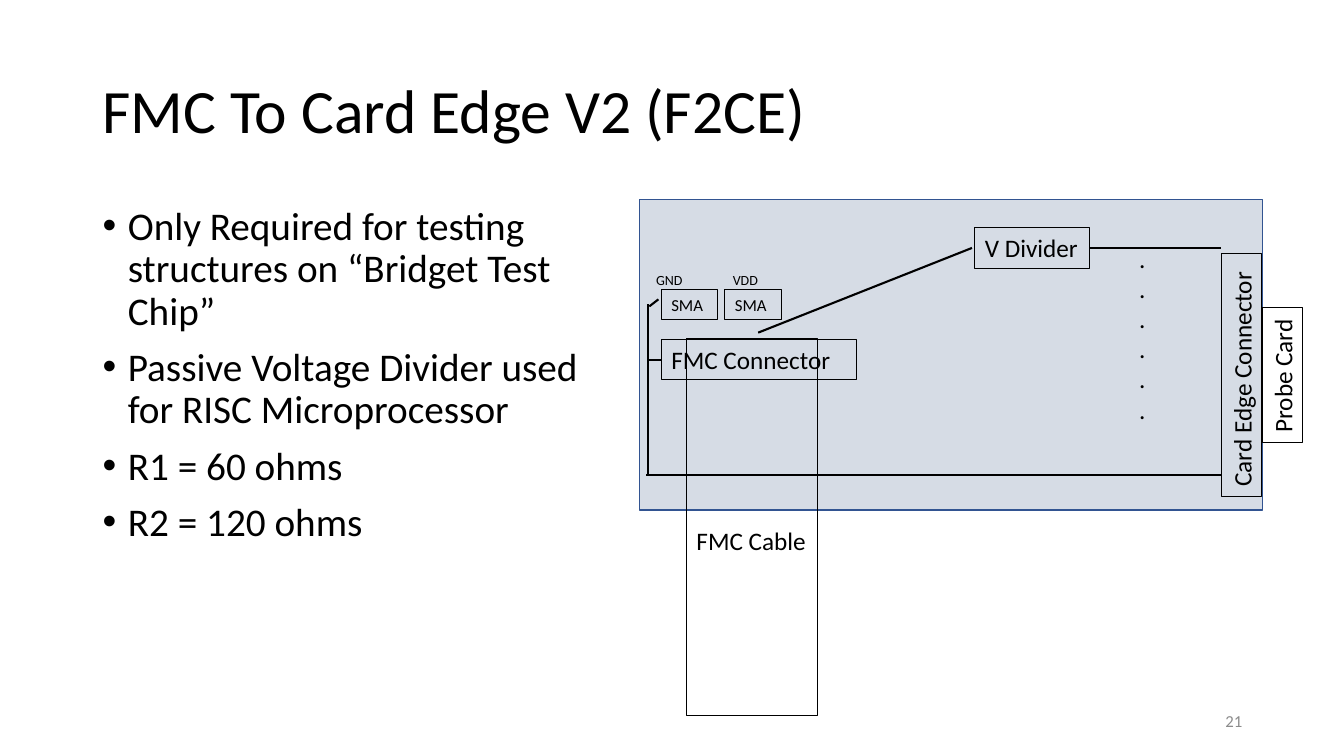
from dataclasses import dataclass, field

from lxml.etree import SubElement
from pptx import Presentation
from pptx.dml.color import RGBColor
from pptx.enum.shapes import MSO_CONNECTOR as Wire, MSO_SHAPE as Form
from pptx.enum.text import MSO_ANCHOR as Anchor, PP_ALIGN as Align
from pptx.oxml.ns import qn
from pptx.shapes.autoshape import Shape
from pptx.shapes.connector import Connector
from pptx.slide import Slide
from pptx.util import Inches, Pt

BLACK = RGBColor(0x00, 0x00, 0x00)
GRAY = RGBColor(0x8C, 0x8C, 0x8C)
BOARD = RGBColor(0xD6, 0xDC, 0xE5)
NAVY = RGBColor(0x32, 0x54, 0x91)


@dataclass
class Label:
    area: tuple[float, float, float, float]
    lines: list[str]
    size: float = 18
    color: RGBColor = BLACK
    frame: dict = field(default_factory=dict)
    para: dict = field(default_factory=dict)
    bullet: bool = False


@dataclass
class Box:
    name: str
    area: tuple[float, float, float, float]
    size: float = 18
    turn: float = 0
    top: float = 0.05


@dataclass
class Link:
    start: tuple[float, float]
    end: tuple[float, float]
    tail: tuple[str, int] | None = None
    head: tuple[str, int] | None = None


LABELS = [
    Label((0.92, 0.4, 11.5, 1.45), ["FMC To Card Edge V2 (F2CE)"], 44,
          frame={"vertical_anchor": Anchor.MIDDLE}, para={"line_spacing": 0.9}),
    Label((0.92, 2, 5.2, 4.76),
          ["Only Required for testing structures on “Bridget Test Chip”",
           "Passive Voltage Divider used for RISC Microprocessor",
           "R1 = 60 ohms",
           "R2 = 120 ohms"],
          28, para={"line_spacing": 0.9, "space_before": Pt(10)}, bullet=True),
    Label((11.2, 2.36, 0.27, 2.22), ["."] * 6),
    Label((6.41, 2.64, 0.6, 0.27), ["GND"], 10),
    Label((7.17, 2.64, 0.6, 0.27), ["VDD"], 10),
    Label((9.42, 6.95, 3, 0.4), ["21"], 12, GRAY,
          {"vertical_anchor": Anchor.MIDDLE}, {"alignment": Align.RIGHT}),
]

BOXES = [
    Box("FMC Connector", (6.56, 3.37, 1.94, 0.4)),
    Box("Card Edge Connector", (11.11, 3.52, 2.41, 0.4), turn=270),
    Box("V Divider", (9.67, 2.26, 1.14, 0.4)),
    Box("Probe Card", (12.05, 3.52, 1.34, 0.4), turn=270),
    Box("FMC Cable", (6.81, 3.36, 1.3, 3.74), top=1.85),
    Box("SMA", (6.56, 2.87, 0.56, 0.3), 12),
    Box("SMA", (7.19, 2.87, 0.56, 0.3), 12),
]

LINKS = [
    Link((10.81, 2.46), (12.11, 2.46), tail=("V Divider", 3)),
    Link((7.52, 3.3), (9.64, 2.46)),
    Link((6.41, 4.71), (12.11, 4.71)),
    Link((6.43, 4.7), (6.43, 3.02)),
    Link((6.43, 3.57), (6.56, 3.57), head=("FMC Connector", 1)),
    Link((6.44, 3.04), (6.53, 2.97)),
]


def apply(target: object, style: dict) -> None:
    for key, value in style.items():
        setattr(target, key, value)


def write(shape: Shape, label: Label) -> None:
    frame = shape.text_frame
    apply(frame, {"word_wrap": True, "vertical_anchor": Anchor.TOP} | label.frame)
    for i, line in enumerate(label.lines):
        para = frame.add_paragraph() if i else frame.paragraphs[0]
        apply(para, {"alignment": Align.LEFT} | label.para)
        run = para.add_run()
        run.text = line
        apply(run.font, {"name": "Calibri", "size": Pt(label.size)})
        run.font.color.rgb = label.color
        if label.bullet:
            props = para._p.get_or_add_pPr()
            props.set("marL", str(Inches(0.25)))
            props.set("indent", str(Inches(-0.25)))
            SubElement(props, qn("a:buFont"), typeface="Arial")
            SubElement(props, qn("a:buChar"), char="•")


def add_label(slide: Slide, label: Label) -> None:
    write(slide.shapes.add_textbox(*map(Inches, label.area)), label)


def add_rect(slide: Slide, area: tuple, color: RGBColor, width: float) -> Shape:
    rect = slide.shapes.add_shape(Form.RECTANGLE, *map(Inches, area))
    rect.shadow.inherit = False
    rect.fill.background()
    rect.line.color.rgb = color
    rect.line.width = Pt(width)
    return rect


def add_box(slide: Slide, box: Box) -> Shape:
    rect = add_rect(slide, box.area, BLACK, 0.75)
    rect.rotation = box.turn
    frame = {"margin_top": Inches(box.top), "margin_right": Inches(0)}
    write(rect, Label(box.area, [box.name], box.size, frame=frame))
    return rect


def add_link(slide: Slide, link: Link, parts: dict[str, Shape]) -> Connector:
    ends = map(Inches, link.start + link.end)
    wire = slide.shapes.add_connector(Wire.STRAIGHT, *ends)
    wire.line.color.rgb = BLACK
    wire.line.width = Pt(1.5)
    SubElement(wire._element.spPr, qn("a:effectLst"))
    if link.tail:
        name, site = link.tail
        wire.begin_connect(parts[name], site)
    if link.head:
        name, site = link.head
        wire.end_connect(parts[name], site)
    return wire


def main() -> None:
    deck = Presentation()
    apply(deck, {"slide_width": Inches(13.33), "slide_height": Inches(7.5)})
    slide = deck.slides.add_slide(deck.slide_layouts[6])
    board = add_rect(slide, (6.34, 1.98, 6.18, 3.08), NAVY, 1)
    board.fill.solid()
    board.fill.fore_color.rgb = BOARD
    parts = {box.name: add_box(slide, box) for box in BOXES}
    for link in LINKS:
        add_link(slide, link, parts)
    for label in LABELS:
        add_label(slide, label)
    deck.save("out.pptx")


if __name__ == "__main__":
    main()
